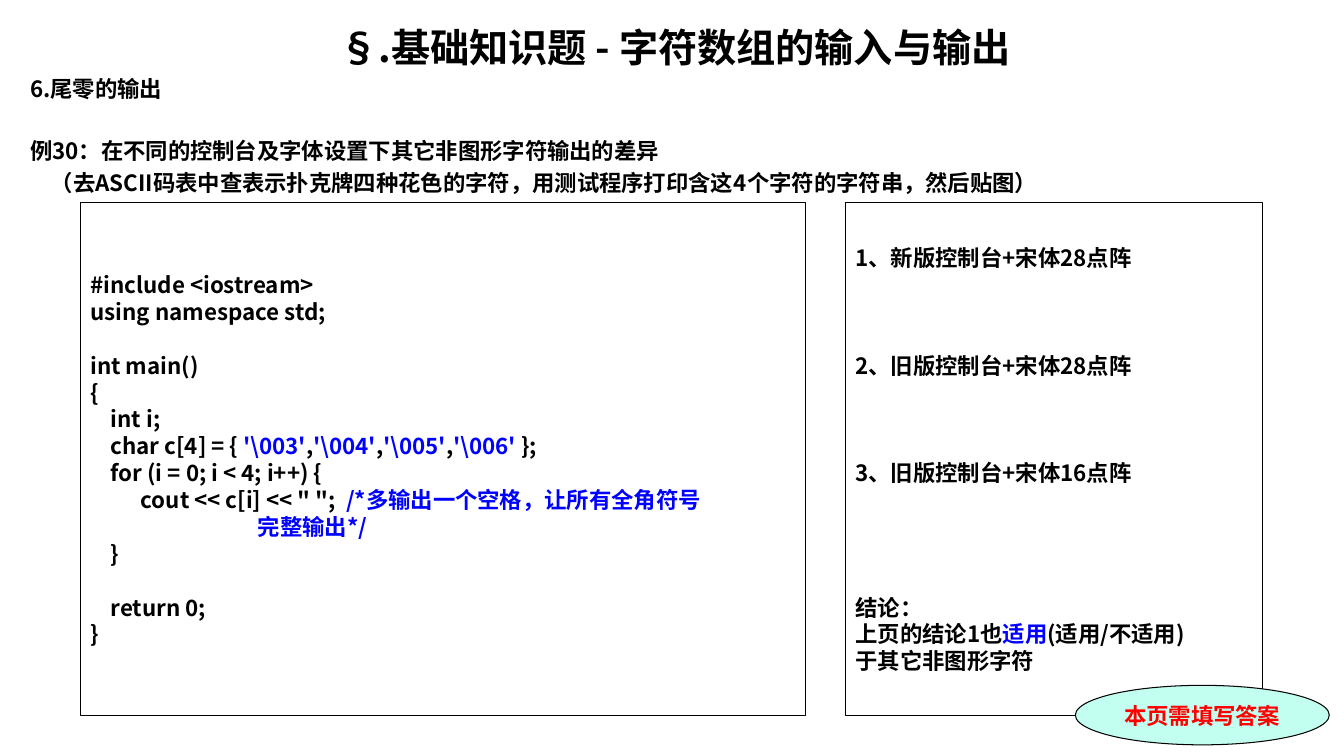
import pptx
import pptx.dml.color
import pptx.enum.shapes
import pptx.enum.text
import pptx.oxml.ns
import pptx.util
from lxml import etree

Cm = pptx.util.Cm
Pt = pptx.util.Pt
ALIGN = pptx.enum.text.PP_ALIGN
SHAPE = pptx.enum.shapes.MSO_SHAPE
COLORS = {"ink": "000000", "blue": "0000FF", "red": "FF0000", "mint": "C2FFF0"}
FONT = "Noto Sans CJK SC"
SIZE = 16
PITCH = 1.2

HEAD = [
    (0, [("6.尾零的输出", "ink")]),
    (1, [("例30：在不同的控制台及字体设置下其它非图形字符输出的差异", "ink")]),
    (0, [("（去ASCII码表中查表示扑克牌四种花色的字符，用测试程序打印含这4个字符的字符串，然后贴图）", "ink")]),
]
CODE = [
    (0, [("#include <iostream>", "ink")]),
    (0, [("using namespace std;", "ink")]),
    (1, [("int main()", "ink")]),
    (0, [("{", "ink")]),
    (0, [("    int i;", "ink")]),
    (0, [("    char c[4] = { ", "ink"), ("'\\003'", "blue"), (",", "ink"),
         ("'\\004'", "blue"), (",", "ink"), ("'\\005'", "blue"), (",", "ink"),
         ("'\\006'", "blue"), (" };", "ink")]),
    (0, [("    for (i = 0; i < 4; i++) {", "ink")]),
    (0, [("\tcout << c[i] << \" \";  ", "ink"),
         ("/*多输出一个空格，让所有全角符号", "blue")]),
    (0, [("                                 完整输出*/", "blue")]),
    (0, [("    }", "ink")]),
    (1, [("    return 0;", "ink")]),
    (0, [("}", "ink")]),
]
NOTES = [
    (0, [("1、新版控制台+宋体28点阵", "ink")]),
    (3, [("2、旧版控制台+宋体28点阵", "ink")]),
    (3, [("3、旧版控制台+宋体16点阵", "ink")]),
    (4, [("结论：", "ink")]),
    (0, [("上页的结论1也", "ink"), ("适用", "blue"), ("(适用/不适用)", "ink")]),
    (0, [("于其它非图形字符", "ink")]),
]


def tint(name):
    """Return the named colour."""
    return pptx.dml.color.RGBColor.from_string(COLORS[name])


def add_run(para, text, color, size=SIZE, face=FONT):
    """Add one bold run to a paragraph."""
    run = para.add_run()
    run.text = text
    run.font.size = Pt(size)
    run.font.bold = True
    run.font.name = face
    run.font.color.rgb = tint(color)
    east = etree.SubElement(run.font._element, pptx.oxml.ns.qn("a:ea"))
    east.set("typeface", FONT)


def add_lines(frame, lines, lead=0.0, align=ALIGN.LEFT, first=True):
    """Write lines, each preceded by a gap counted in lines."""
    step = SIZE * PITCH
    for i, (gap, runs) in enumerate(lines):
        para = frame.paragraphs[0] if first and i == 0 else frame.add_paragraph()
        para.alignment = align
        para.line_spacing = Pt(step)
        space = gap * (step + lead) + lead
        if space:
            para.space_before = Pt(space)
        for text, color in runs:
            add_run(para, text, color)


def add_form(slide, kind, box, fill=None):
    """Add a thinly outlined shape and return its text frame."""
    form = slide.shapes.add_shape(kind, *map(Cm, box))
    form.shadow.inherit = False
    if fill:
        form.fill.solid()
        form.fill.fore_color.rgb = tint(fill)
    else:
        form.fill.background()
    form.line.color.rgb = tint("ink")
    form.line.width = Pt(0.75)
    frame = form.text_frame
    frame.vertical_anchor = pptx.enum.text.MSO_ANCHOR.MIDDLE
    return frame


def add_head(slide, box):
    """Place the title and the task text."""
    frame = slide.shapes.add_textbox(*map(Cm, box)).text_frame
    frame.word_wrap = True
    title = frame.paragraphs[0]
    title.alignment = ALIGN.CENTER
    title.line_spacing = Pt(28 * PITCH)
    add_run(title, "§.基础知识题 - 字符数组的输入与输出", "ink", 28)
    add_lines(frame, HEAD, SIZE * 0.2, ALIGN.JUSTIFY, False)
    props = frame.paragraphs[-1]._p.get_or_add_pPr()
    props.set("marL", str(Cm(0.52)))
    props.set("indent", "0")


def add_panel(slide, box, lines):
    """Place a framed panel of text."""
    frame = add_form(slide, SHAPE.RECTANGLE, box)
    frame.word_wrap = True
    add_lines(frame, lines)


def add_badge(slide, box):
    """Place the oval reminder."""
    frame = add_form(slide, SHAPE.OVAL, box, "mint")
    frame.word_wrap = False
    para = frame.paragraphs[0]
    para.alignment = ALIGN.CENTER
    add_run(para, "本页需填写答案", "red", face="Times New Roman")


def main():
    """Build and save the slide."""
    deck = pptx.Presentation()
    deck.slide_width, deck.slide_height = Cm(33.87), Cm(19.05)
    slide = deck.slides.add_slide(deck.slide_layouts[6])
    add_head(slide, (0.51, 0.46, 33, 18))
    add_panel(slide, (2.03, 5.11, 18.26, 12.93), CODE)
    add_panel(slide, (21.31, 5.11, 10.52, 12.93), NOTES)
    add_badge(slide, (27.1, 17.27, 6.4, 1.5))
    deck.save("out.pptx")


if __name__ == "__main__":
    main()
